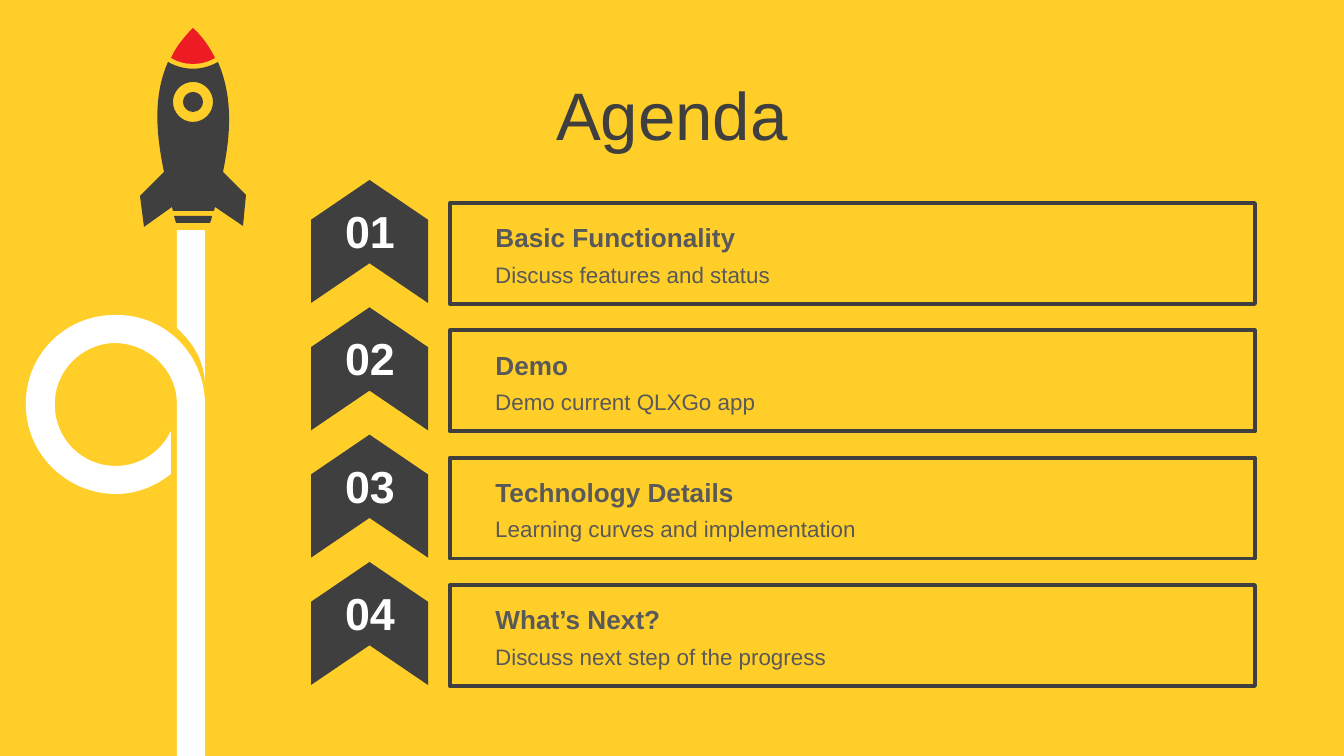
from lxml import etree
from pptx import Presentation
from pptx.dml.color import RGBColor
from pptx.enum.shapes import MSO_SHAPE
from pptx.enum.text import MSO_ANCHOR, PP_ALIGN
from pptx.oxml.ns import qn
from pptx.util import Pt

PX = 914400 / 134.4
YELLOW = RGBColor(0xFF, 0xCE, 0x29)
DARK = RGBColor(0x3F, 0x3F, 0x3F)
GREY = RGBColor(0x59, 0x59, 0x59)
WHITE = RGBColor(0xFF, 0xFF, 0xFF)
RED = RGBColor(0xED, 0x1C, 0x24)
RECT, CHEVRON = MSO_SHAPE.RECTANGLE, MSO_SHAPE.CHEVRON
TEXT_PANEL = MSO_SHAPE.ROUND_2_SAME_RECTANGLE
TOP, MIDDLE = MSO_ANCHOR.TOP, MSO_ANCHOR.MIDDLE
LEFT, CENTER = PP_ALIGN.LEFT, PP_ALIGN.CENTER

# Content
TITLE = "Agenda"
AGENDA = [
    ("01", "Basic Functionality", "Discuss features and status"),
    ("02", "Demo", "Demo current QLXGo app"),
    ("03", "Technology Details", "Learning curves and implementation"),
    ("04", "What’s Next?", "Discuss next step of the progress"),
]
FIRST_TOP, LAST_TOP = 203, 585

TITLE_FONT = {"name": "Arial", "size": Pt(36), "bold": False}
NUMBER_FONT = {"name": "Arial", "size": Pt(24), "bold": True}
HEADING_FONT = {"name": "Arial", "size": Pt(14), "bold": True}
DETAIL_FONT = {"name": "Arial", "size": Pt(12), "bold": False}


def circle(x, y, r):
    k = 0.55 * r
    return [(x, y - r),
            (x + k, y - r, x + r, y - k, x + r, y),
            (x + r, y + k, x + k, y + r, x, y + r),
            (x - k, y + r, x - r, y + k, x - r, y),
            (x - r, y - k, x - k, y - r, x, y - r)]


# Outlines in px: a pair is a straight step, six numbers are a Bezier step
SMOKE_LOOP = [
    [(199, 406), (205, 406), (205, 417, 203, 428, 199, 438)],
    [(113, 315), (163, 313, 203, 352, 205, 401), (177, 402),
     (176, 369, 148, 343, 114, 343), (81, 344, 54, 372, 55, 405),
     (55, 439, 82, 466, 116, 466), (140, 466, 161, 452, 171, 431),
     (171, 474), (156, 486, 137, 494, 116, 494),
     (67, 494, 26, 454, 26, 405), (25, 356, 64, 316, 113, 315)],
]
SMOKE_TOP = [[(177, 230), (205, 230), (205, 281, 205, 332, 205, 382),
              (203, 359, 194, 344, 177, 328), (177, 230)]]
ROCKET = [
    [(174, 216), (212, 216), (212, 218, 211, 221, 210, 223), (176, 223)],
    circle(193, 102, 10),
    circle(193, 102, 20),
    [(168, 62), (184, 71, 202, 71, 218, 62), (234, 99, 230, 138, 223, 172),
     (246, 195), (243, 226), (215, 207), (214, 211), (173, 211),
     (173, 210, 172, 208, 172, 207), (144, 227), (140, 196), (164, 172),
     (157, 138, 152, 98, 168, 62)],
]
NOSE = [[(193, 28), (203, 37, 210, 48, 215, 58), (202, 66, 184, 66, 171, 58),
         (176, 47, 184, 37, 193, 28)]]


def emu(*lengths):
    return [round(length * PX) for length in lengths]


def paint(shape, fill=None, line=None):
    shape.shadow.inherit = False
    if fill is None:
        shape.fill.background()
    else:
        shape.fill.solid()
        shape.fill.fore_color.rgb = fill
    if line is None:
        shape.line.fill.background()
    else:
        shape.line.color.rgb = line
        shape.line.width = Pt(2)
    return shape


def add_outline(contours, fill):
    builder = slide.shapes.build_freeform(*emu(*contours[0][0]), scale=1.0)
    for index, (start, *steps) in enumerate(contours):
        if index:
            builder.move_to(*emu(*start))
        points = [emu(*step[i:i + 2]) for step in steps for i in range(0, len(step), 2)]
        builder.add_line_segments(points, close=True)
    outline = paint(builder.convert_to_shape(), fill)

    # Join the three points of each Bezier step into one curve
    segments = iter(outline.element.xpath(".//a:lnTo"))
    for step in (step for contour in contours for step in contour[1:]):
        segment = next(segments)
        if len(step) == 6:
            curve = etree.Element(qn("a:cubicBezTo"))
            segment.addprevious(curve)
            for part in (segment, next(segments), next(segments)):
                curve.append(part[0])
                part.getparent().remove(part)


def write(shape, text, font, color, align, anchor=TOP):
    frame = shape.text_frame
    frame.word_wrap = True
    frame.vertical_anchor = anchor
    paragraph = frame.paragraphs[0]
    paragraph.alignment = align
    run = paragraph.add_run()
    run.text = text
    for key, value in font.items():
        setattr(run.font, key, value)
    run.font.color.rgb = color


prs = Presentation()
prs.slide_width, prs.slide_height = emu(1344, 756)
slide = prs.slides.add_slide(prs.slide_layouts[5])
slide.background.fill.solid()
slide.background.fill.fore_color.rgb = YELLOW

# Title
title = slide.shapes.title
title.left, title.top, title.width, title.height = emu(0, 71, 1344, 85)
write(title, TITLE, TITLE_FONT, DARK, CENTER, MIDDLE)

# Rocket and its smoke trail
add_outline(SMOKE_LOOP, WHITE)
add_outline(SMOKE_TOP, WHITE)
add_outline(ROCKET, DARK)
paint(slide.shapes.add_shape(RECT, *emu(177, 398, 28, 358)), WHITE)
add_outline(NOSE, RED)

# Agenda rows
pitch = (LAST_TOP - FIRST_TOP) / (len(AGENDA) - 1)
for index, (number, heading, detail) in enumerate(AGENDA):
    top = FIRST_TOP + index * pitch
    paint(slide.shapes.add_shape(RECT, *emu(450, top, 805, 101)), line=DARK)

    topic = slide.shapes.add_group_shape()
    for text, font, offset, height in ((heading, HEADING_FONT, 10, 47),
                                       (detail, DETAIL_FONT, 49, 43)):
        panel = topic.shapes.add_shape(TEXT_PANEL, *emu(480, top + offset, 741, height))
        write(paint(panel), text, font, GREY, LEFT)

    marker = paint(slide.shapes.add_shape(CHEVRON, *emu(308, top - 20, 123, 117)), DARK)
    marker.adjustments[0] = 0.34
    marker.rotation = 270

    label = slide.shapes.add_textbox(*emu(329, top - 6, 82, 67))
    write(label, number, NUMBER_FONT, WHITE, CENTER)

prs.save("out.pptx")
